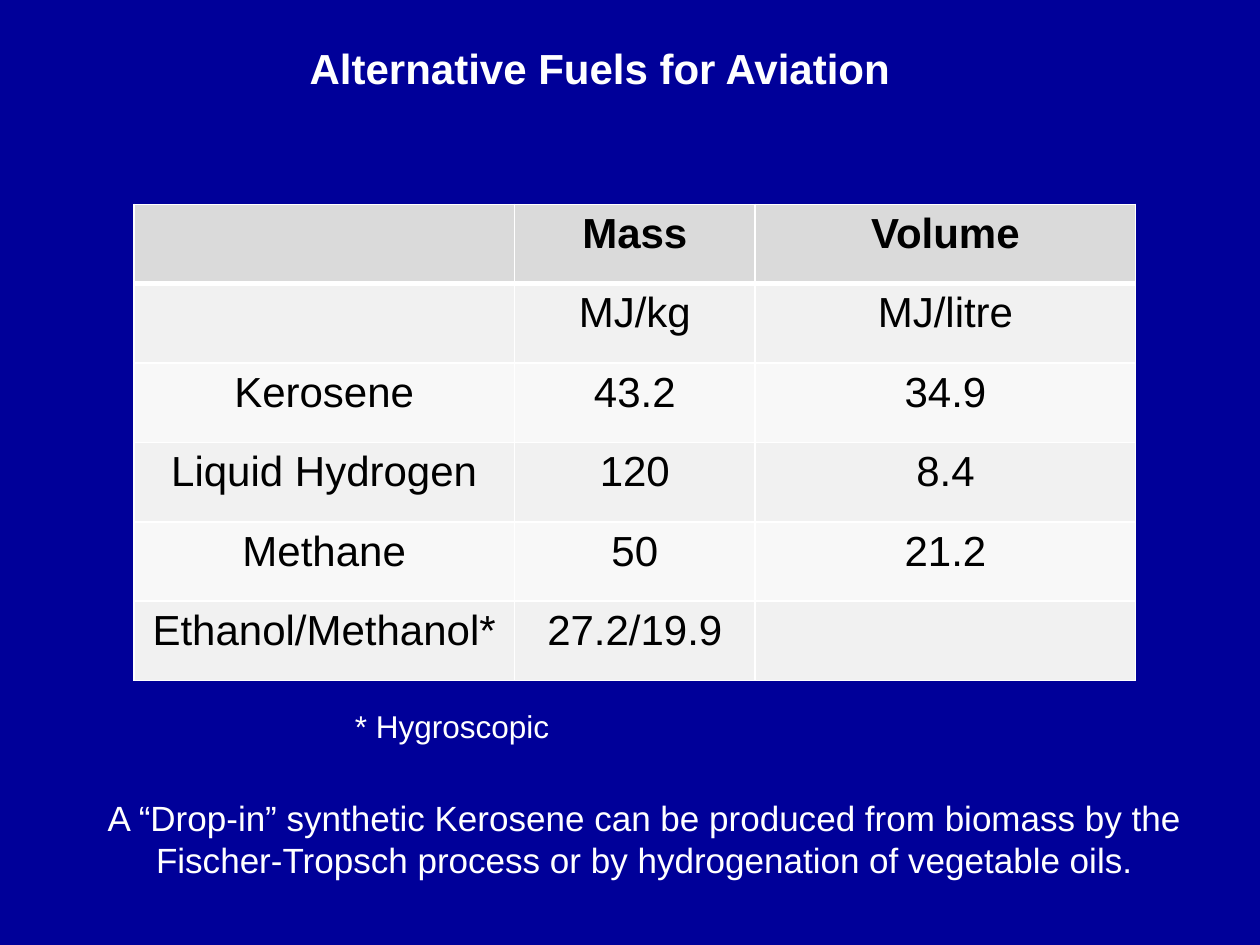
from lxml.etree import SubElement
from pptx import Presentation
from pptx.dml.color import RGBColor
from pptx.enum.text import PP_ALIGN
from pptx.oxml.ns import qn
from pptx.util import Pt

NAVY = RGBColor(0x00, 0x00, 0x99)
WHITE = RGBColor(0xFF, 0xFF, 0xFF)
BLACK = RGBColor(0x00, 0x00, 0x00)
HEADER = RGBColor(0xDA, 0xDA, 0xDA)
BANDS = (RGBColor(0xF8, 0xF8, 0xF8), RGBColor(0xF1, 0xF1, 0xF1))
FONT = "Arial"

FUELS = [
    ("", "Mass", "Volume"),
    ("", "MJ/kg", "MJ/litre"),
    ("Kerosene", "43.2", "34.9"),
    ("Liquid Hydrogen", "120", "8.4"),
    ("Methane", "50", "21.2"),
    ("Ethanol/Methanol*", "27.2/19.9", ""),
]


def write(tf, text, size, color, bold=False, align=PP_ALIGN.CENTER):
    """Fill a text frame with one formatted paragraph."""
    tf.text = text
    p = tf.paragraphs[0]
    p.alignment = align
    for r in p.runs:
        r.font.name = FONT
        r.font.size = Pt(size)
        r.font.bold = bold
        r.font.color.rgb = color


def add_caption(s, box, text, size, **style):
    """Add a wrapped white text box."""
    tf = s.shapes.add_textbox(*(Pt(v) for v in box)).text_frame
    tf.word_wrap = True
    write(tf, text, size, WHITE, **style)


def set_borders(cell, top, bottom):
    """Draw white borders, with the given top and bottom widths."""
    tcPr = cell._tc.get_or_add_tcPr()
    for side, width in (("L", 1), ("R", 1), ("T", top), ("B", bottom)):
        ln = SubElement(tcPr, qn(f"a:ln{side}"), w=str(Pt(width)))
        fill = SubElement(ln, qn("a:solidFill"))
        SubElement(fill, qn("a:srgbClr"), val=str(WHITE))


def add_fuel_table(s, box, rows, shares):
    """Add the banded table, its columns sharing the width of the box."""
    left, top, width, height = box
    table = s.shapes.add_table(len(rows), len(shares), *(Pt(v) for v in box)).table
    for column, share in zip(table.columns, shares):
        column.width = Pt(width * share / sum(shares))
    for i, values in enumerate(rows):
        table.rows[i].height = Pt(height / len(rows))
        for j, value in enumerate(values):
            cell = table.cell(i, j)
            set_borders(cell, 3 if i == 1 else 1, 3 if i == 0 else 1)
            cell.fill.solid()
            cell.fill.fore_color.rgb = BANDS[i % 2] if i else HEADER
            write(cell.text_frame, value, 24, BLACK, bold=i == 0)


def build_fuel_slide(prs):
    """Build the slide comparing aviation fuels."""
    s = prs.slides.add_slide(prs.slide_layouts[6])
    s.background.fill.solid()
    s.background.fill.fore_color.rgb = NAVY
    add_caption(s, (70.5, 21, 544.5, 36), "Alternative Fuels for Aviation", 24, bold=True)
    add_fuel_table(s, (76.5, 116.75, 572.5, 272.25), FUELS, (3.02, 1.91, 3.02))
    add_caption(s, (195.75, 400.5, 278, 29), "* Hygroscopic", 18, align=PP_ALIGN.LEFT)
    add_caption(
        s, (53.75, 451.5, 629.25, 55.75),
        "A “Drop-in” synthetic Kerosene can be produced from biomass by the "
        "Fischer-Tropsch process or by hydrogenation of vegetable oils.", 20)


prs = Presentation()
prs.slide_width, prs.slide_height = Pt(720), Pt(540)
build_fuel_slide(prs)
prs.save("out.pptx")
